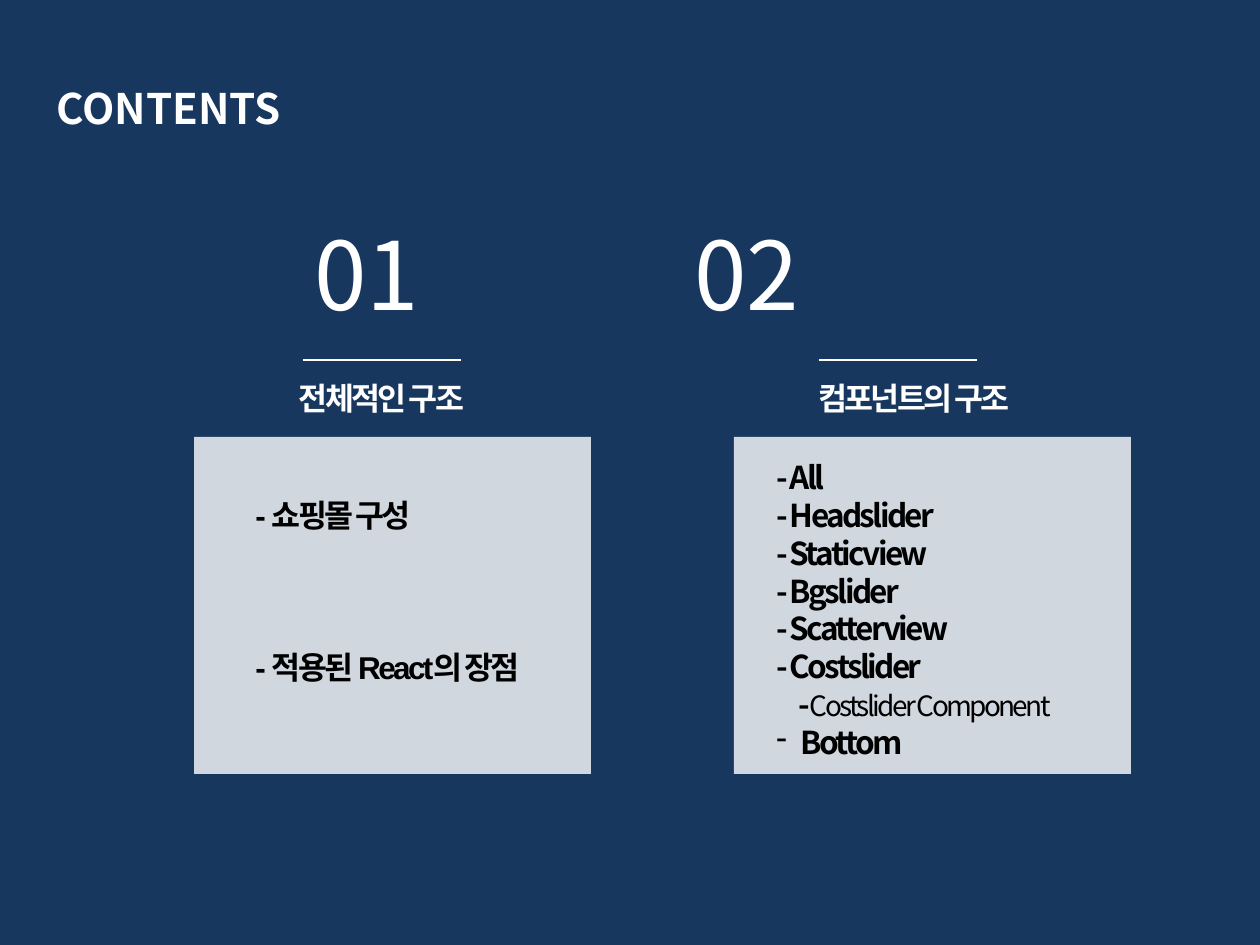
from lxml.etree import SubElement
from pptx import Presentation
from pptx.dml.color import RGBColor
from pptx.enum.shapes import MSO_CONNECTOR, MSO_SHAPE
from pptx.enum.text import MSO_ANCHOR, MSO_AUTO_SIZE, PP_ALIGN
from pptx.oxml.ns import qn
from pptx.util import Emu, Pt

PX = 914400 // 126
COLORS = {"navy": "17375E", "white": "FFFFFF", "black": "000000"}
SANS = "Noto Sans CJK KR"


def px(n):
    return Emu(n * PX)


def rgb(name):
    return RGBColor.from_string(COLORS[name])


def add_run(p, text, size=18, font=SANS, color="black", bold=True, spc=-150):
    r = p.add_run()
    r.text = text
    r.font.size = Pt(size)
    r.font.bold = bold
    r.font.color.rgb = rgb(color)
    r.font.name = font
    rPr = r.font._element
    SubElement(rPr, qn("a:ea")).set("typeface", SANS)
    if spc:
        rPr.set("spc", str(spc))


def add_box(s, x, y, w, h):
    tf = s.shapes.add_textbox(px(x), px(y), px(w), px(h)).text_frame
    tf.word_wrap = True
    return tf


def next_paragraph(tf):
    p = tf.paragraphs[0]
    return tf.add_paragraph() if p.runs else p


def set_indent(p, margin, first=0):
    pPr = p._p.get_or_add_pPr()
    pPr.set("marL", str(px(margin)))
    pPr.set("indent", str(px(first)))
    return pPr


def add_title(s, text):
    sp = s.shapes.title
    sp.left, sp.top, sp.width, sp.height = px(44), px(76), px(576), px(63)
    tf = sp.text_frame
    tf.auto_size = MSO_AUTO_SIZE.NONE
    tf.vertical_anchor = MSO_ANCHOR.TOP
    p = tf.paragraphs[0]
    p.alignment = PP_ALIGN.LEFT
    add_run(p, text, 24, color="white", spc=0)


def add_panel(s, x):
    sp = s.shapes.add_shape(MSO_SHAPE.RECTANGLE, px(x), px(437), px(397), px(337))
    sp.shadow.inherit = False
    sp.line.fill.background()
    sp.fill.solid()
    sp.fill.fore_color.rgb = rgb("white")
    color = sp._element.spPr.find(qn("a:solidFill"))[0]
    SubElement(color, qn("a:alpha")).set("val", "80000")


def add_rule(s, x):
    line = s.shapes.add_connector(MSO_CONNECTOR.STRAIGHT, px(x), px(360), px(x + 158), px(360))
    line.line.color.rgb = rgb("white")
    line.line.width = Pt(0.75)
    SubElement(line._element.spPr, qn("a:effectLst"))


def add_section(s, number, number_x, panel_x, rule_x, caption, caption_x, caption_w):
    add_panel(s, panel_x)
    p = add_box(s, number_x, 210, 150, 127).paragraphs[0]
    add_run(p, number, 54, color="white", bold=False, spc=0)
    add_rule(s, rule_x)
    p = add_box(s, caption_x, 373, caption_w, 50).paragraphs[0]
    p.alignment = PP_ALIGN.CENTER
    add_run(p, caption, font="Arial", color="white")


def add_structure_list(s):
    tf = add_box(s, 243, 490, 348, 240)
    for text in ("- 쇼핑몰 구성", "- 적용된 React의 장점"):
        p = next_paragraph(tf)
        add_run(p, text, font="Arial")
    p.space_before = Pt(65)


def add_component_list(s):
    tf = add_box(s, 764, 452, 417, 318)
    for name in ("All", "Headslider", "Staticview", "Bgslider", "Scatterview", "Costslider"):
        add_run(next_paragraph(tf), f"- {name}")
    p = next_paragraph(tf)
    set_indent(p, 22)
    add_run(p, "-")
    add_run(p, "Costslider Component", 16, bold=False)
    p = next_paragraph(tf)
    pPr = set_indent(p, 24, -24)
    SubElement(pPr, qn("a:buChar")).set("char", "-")
    add_run(p, "Bottom")


def main():
    prs = Presentation()
    prs.slide_width, prs.slide_height = px(1260), px(945)
    s = prs.slides.add_slide(prs.slide_layouts[5])
    s.background.fill.solid()
    s.background.fill.fore_color.rgb = rgb("navy")
    add_title(s, "CONTENTS")
    add_section(s, "01", 302, 194, 303, "전체적인 구조", 267, 229)
    add_structure_list(s)
    add_section(s, "02", 682, 734, 819, "컴포넌트의 구조", 780, 268)
    add_component_list(s)
    prs.save("out.pptx")


if __name__ == "__main__":
    main()
